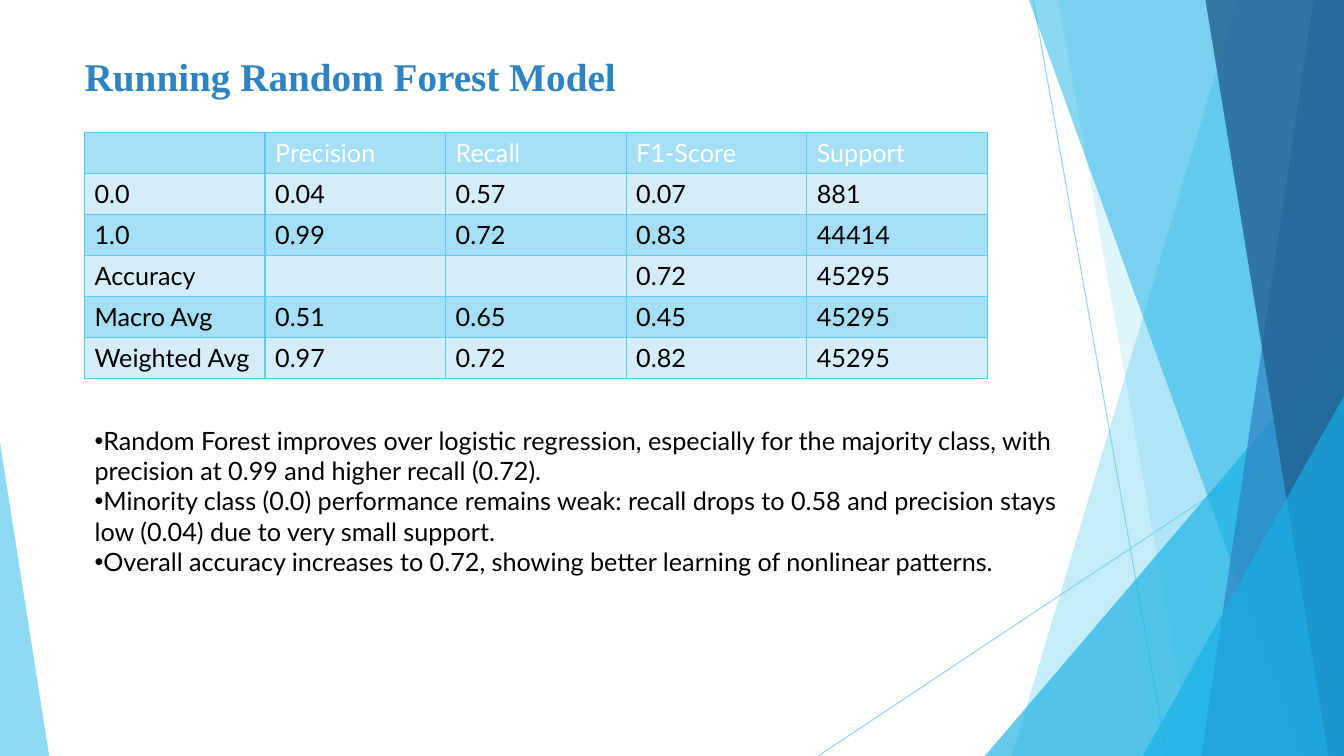
"""Builds a slide reporting the scores of a random forest model."""
from dataclasses import dataclass

from lxml import etree
from pptx import Presentation, util as u
from pptx.dml.color import RGBColor
from pptx.enum import shapes, text
from pptx.oxml import ns


@dataclass(frozen=True)
class Theme:
    white: str = "FFFFFF"
    black: str = "000000"
    sky: str = "5FCBEF"
    azure: str = "17B0E4"
    blue: str = "2E83C3"
    navy: str = "226292"
    band_dark: str = "A5DFF5"
    band_light: str = "D4EDF9"
    title_font: str = "Times New Roman"
    body_font: str = "Lato"
    title_size: int = 28
    body_size: int = 18
    leading: float = 21.8


@dataclass(frozen=True)
class Box:
    left: float
    top: float
    width: float
    height: float


@dataclass(frozen=True)
class Ray:
    start: tuple[float, float]
    end: tuple[float, float]


@dataclass(frozen=True)
class Blade:
    top_x: float
    bottom_x: float
    color: str
    opacity: int


@dataclass(frozen=True)
class Wedge:
    left: float
    top: float
    width: float
    apex: float
    color: str
    opacity: int


THEME = Theme()
WIDTH, HEIGHT = 33.87, 19.05
TITLE_BOX = Box(1.88, 1.19, 17.4, 1.45)
BODY_BOX = Box(2.13, 10.59, 25.81, 4.88)
TABLE_BOX = Box(2.13, 3.33, 22.75, 6.2)

RAYS = [
    Ray((26.04, 0), (29.41, HEIGHT)),
    Ray((WIDTH, 10.24), (20.62, HEIGHT)),
]
FACETS = [
    Blade(31.19, 25.5, THEME.sky, 36),
    Blade(26.67, 30.05, THEME.sky, 20),
    Wedge(24.82, 8.46, 9.05, 1, THEME.azure, 66),
    Blade(25.93, 32.79, THEME.azure, 50),
    Blade(33.1, 30.28, THEME.blue, 70),
    Blade(30.38, 33.48, THEME.navy, 80),
    Wedge(28.8, 9.98, 5.07, 1, THEME.azure, 66),
    Wedge(0, 11.15, 1.24, 0, THEME.sky, 70),
]
TITLE = "Running Random Forest Model"
SCORES = [
    ["", "Precision", "Recall", "F1-Score", "Support"],
    ["0.0", "0.04", "0.57", "0.07", "881"],
    ["1.0", "0.99", "0.72", "0.83", "44414"],
    ["Accuracy", "", "", "0.72", "45295"],
    ["Macro Avg", "0.51", "0.65", "0.45", "45295"],
    ["Weighted Avg", "0.97", "0.72", "0.82", "45295"],
]
FINDINGS = [
    "Random Forest improves over logistic regression, especially for the majority "
    "class, with precision at 0.99 and higher recall (0.72).",
    "Minority class (0.0) performance remains weak: recall drops to 0.58 and "
    "precision stays low (0.04) due to very small support.",
    "Overall accuracy increases to 0.72, showing better learning of nonlinear patterns.",
]


def rgb(color: str) -> RGBColor:
    return RGBColor.from_string(color)


def set_opacity(shape, percent: int) -> None:
    for color in shape.element.iter(ns.qn("a:srgbClr")):
        etree.SubElement(color, ns.qn("a:alpha"), val=str(percent * 1000))


def draw_ray(page, ray: Ray) -> None:
    ends = [u.Cm(value) for value in (*ray.start, *ray.end)]
    line = page.shapes.add_connector(shapes.MSO_CONNECTOR.STRAIGHT, *ends)
    line.line.color.rgb = rgb(THEME.sky)
    line.line.width = u.Pt(0.75)
    etree.SubElement(line.element.spPr, ns.qn("a:effectLst"))
    set_opacity(line, 70)


def draw_facet(page, facet: Blade | Wedge) -> None:
    if isinstance(facet, Blade):
        builder = page.shapes.build_freeform(u.Cm(facet.top_x), 0)
        corners = [(WIDTH, 0), (WIDTH, HEIGHT), (facet.bottom_x, HEIGHT)]
        builder.add_line_segments([(u.Cm(x), u.Cm(y)) for x, y in corners], close=True)
        shape = builder.convert_to_shape()
    else:
        shape = page.shapes.add_shape(
            shapes.MSO_SHAPE.ISOSCELES_TRIANGLE, u.Cm(facet.left), u.Cm(facet.top),
            u.Cm(facet.width), u.Cm(HEIGHT - facet.top))
        shape.adjustments[0] = facet.apex
    shape.shadow.inherit = False
    shape.fill.solid()
    shape.fill.fore_color.rgb = rgb(facet.color)
    shape.line.fill.background()
    set_opacity(shape, facet.opacity)


def style_para(para, font: str, size: int, color: str, bold: bool = False) -> None:
    para.alignment = text.PP_ALIGN.LEFT
    para.space_before = u.Pt(0)
    for face in (para.font, *(span.font for span in para.runs)):
        face.name, face.size, face.bold = font, u.Pt(size), bold
        face.color.rgb = rgb(color)


def place(holder, box: Box, anchor) -> None:
    """Moves a placeholder to its box, in front of the backdrop."""
    holder.left, holder.top = u.Cm(box.left), u.Cm(box.top)
    holder.width, holder.height = u.Cm(box.width), u.Cm(box.height)
    holder.text_frame.word_wrap = True
    holder.text_frame.auto_size = text.MSO_AUTO_SIZE.NONE
    holder.text_frame.vertical_anchor = anchor
    holder.element.getparent().append(holder.element)


def add_bullet(para) -> None:
    props = para._p.get_or_add_pPr()
    props.set("marL", "0")
    props.set("indent", "0")
    etree.SubElement(props, ns.qn("a:buChar"), char="•")


def add_borders(cell) -> None:
    props = cell._tc.get_or_add_tcPr()
    for index, side in enumerate("LRTB"):
        line = etree.Element(ns.qn(f"a:ln{side}"), w=str(u.Pt(1)))
        fill = etree.SubElement(line, ns.qn("a:solidFill"))
        etree.SubElement(fill, ns.qn("a:srgbClr"), val=THEME.sky)
        props.insert(index, line)


def draw_scores(page, box: Box) -> None:
    table = page.shapes.add_table(
        len(SCORES), len(SCORES[0]), u.Cm(box.left), u.Cm(box.top),
        u.Cm(box.width), u.Cm(box.height)).table
    table.first_row = table.horz_banding = False
    for row, values in enumerate(SCORES):
        for column, value in enumerate(values):
            cell = table.cell(row, column)
            cell.fill.solid()
            cell.fill.fore_color.rgb = rgb(THEME.band_light if row % 2 else THEME.band_dark)
            add_borders(cell)
            para = cell.text_frame.paragraphs[0]
            para.text = value
            para.line_spacing = u.Pt(THEME.leading)
            color = THEME.black if row else THEME.white
            style_para(para, THEME.body_font, THEME.body_size, color)


def main() -> None:
    deck = Presentation()
    deck.slide_width, deck.slide_height = u.Cm(WIDTH), u.Cm(HEIGHT)
    page = deck.slides.add_slide(deck.slide_layouts[1])
    for ray in RAYS:
        draw_ray(page, ray)
    for facet in FACETS:
        draw_facet(page, facet)
    title, body = page.shapes.title, page.placeholders[1]
    place(title, TITLE_BOX, text.MSO_ANCHOR.MIDDLE)
    title.text_frame.text = TITLE
    style_para(title.text_frame.paragraphs[0], THEME.title_font, THEME.title_size,
               THEME.blue, bold=True)
    place(body, BODY_BOX, text.MSO_ANCHOR.TOP)
    body.text_frame.text = "\n".join(FINDINGS)
    for para in body.text_frame.paragraphs:
        style_para(para, THEME.body_font, THEME.body_size, THEME.black)
        add_bullet(para)
    draw_scores(page, TABLE_BOX)
    deck.save("out.pptx")


if __name__ == "__main__":
    main()
